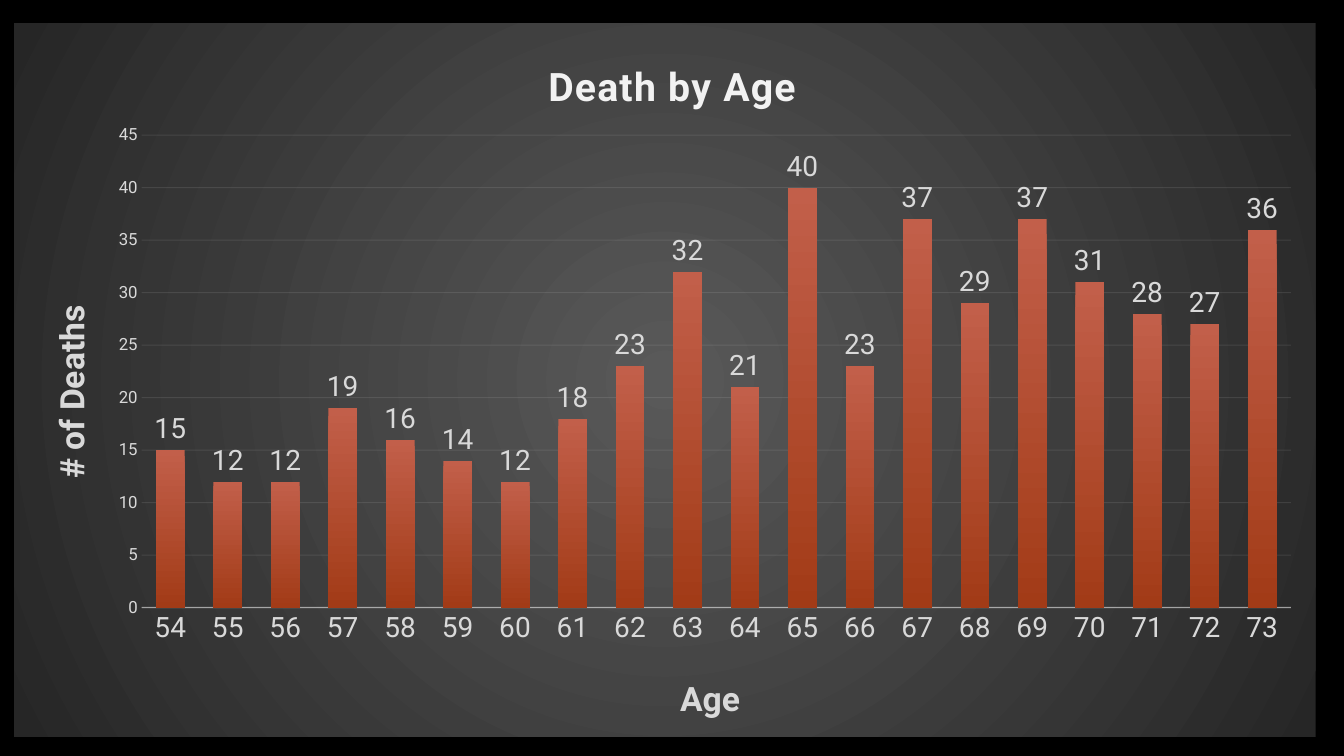
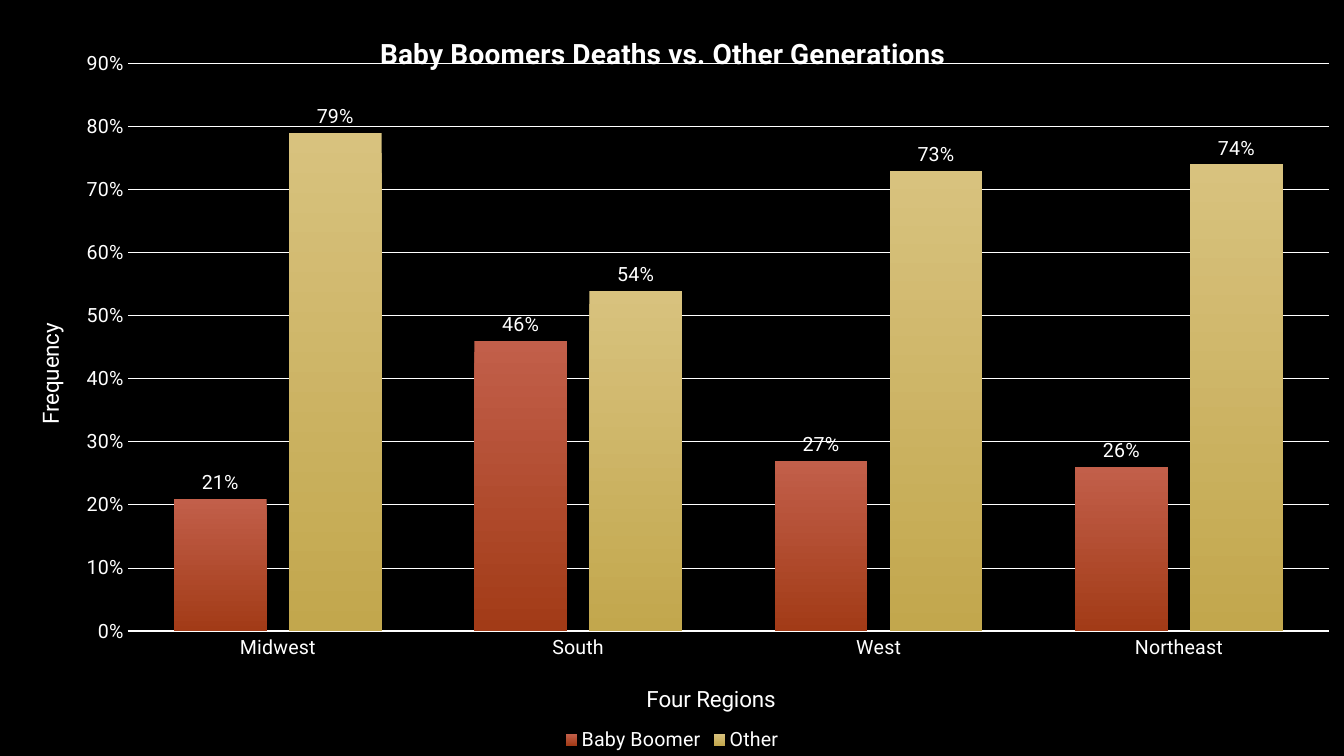
"""Build two dark column-chart slides on deaths by age and by region."""
import pptx
import pptx.chart.data
import pptx.dml.color
import pptx.enum.chart
import pptx.oxml
import pptx.oxml.ns
import pptx.util

Inches, Pt = pptx.util.Inches, pptx.util.Pt
RGBColor = pptx.dml.color.RGBColor
qn, nsdecls = pptx.oxml.ns.qn, pptx.oxml.ns.nsdecls
xl = pptx.enum.chart

BLACK = RGBColor(0x00, 0x00, 0x00)
WHITE = RGBColor(0xFF, 0xFF, 0xFF)
PALE = RGBColor(0xF2, 0xF2, 0xF2)
SILVER = RGBColor(0xD9, 0xD9, 0xD9)
GREY = RGBColor(0x59, 0x59, 0x59)
CHARCOAL = RGBColor(0x26, 0x26, 0x26)
RUST = (RGBColor(0xC2, 0x5F, 0x4A), RGBColor(0xA2, 0x3B, 0x17))
GOLD = (RGBColor(0xD8, 0xC2, 0x7E), RGBColor(0xC2, 0xA7, 0x4D))
FONT = "Roboto"


def set_all(obj, **values):
    """Set each named attribute on an object."""
    for name, value in values.items():
        setattr(obj, name, value)


def style_font(font, size, color, bold=False):
    """Apply the shared typeface with a size, colour and weight."""
    set_all(font, name=FONT, size=Pt(size), bold=bold)
    font.color.rgb = color


def style_line(line, color, width, opacity=100):
    """Draw a solid line, partly transparent below full opacity."""
    line.color.rgb = color
    line.width = Pt(width)
    if opacity < 100:
        clr = line._get_or_add_ln().find(".//" + qn("a:srgbClr"))
        clr.append(pptx.oxml.parse_xml(
            f'<a:alpha {nsdecls("a")} val="{opacity * 1000}"/>'))


def layout_xml(x, y, w=None, h=None):
    """Return a manual layout in fractions of the chart."""
    inner = '<c:layoutTarget val="inner"/>' if w else ""
    size = f'<c:w val="{w}"/><c:h val="{h}"/>' if w else ""
    return pptx.oxml.parse_xml(
        f'<c:layout {nsdecls("c")}><c:manualLayout>{inner}'
        f'<c:xMode val="edge"/><c:yMode val="edge"/>'
        f'<c:x val="{x}"/><c:y val="{y}"/>{size}</c:manualLayout></c:layout>')


def drop_layout(parent):
    """Remove the layout that an element already holds."""
    for old in parent.findall(qn("c:layout")):
        parent.remove(old)


def add_title(title, text, pos, size, color, bold=False, spacing=0, upright=False):
    """Write a chart or axis title and fix its place."""
    tf = title.text_frame
    r = tf.paragraphs[0].add_run()
    r.text = text
    style_font(r.font, size, color, bold)
    if spacing:
        r.font._element.set("spc", str(spacing))
    if upright:
        body = tf._txBody.find(qn("a:bodyPr"))
        body.set("rot", "-5400000")
        body.set("vert", "horz")
    el = title._element
    drop_layout(el)
    el.find(qn("c:tx")).addnext(layout_xml(*pos))


def radial_backdrop(chart, center, edge):
    """Fill the chart area with a circular gradient."""
    chart.element.find(qn("c:chart")).addnext(pptx.oxml.parse_xml(
        f'<c:spPr {nsdecls("c", "a")}><a:gradFill><a:gsLst>'
        f'<a:gs pos="0"><a:srgbClr val="{center}"/></a:gs>'
        f'<a:gs pos="100000"><a:srgbClr val="{edge}"/></a:gs></a:gsLst>'
        '<a:path path="circle"><a:fillToRect l="50000" t="50000" r="50000" b="50000"/>'
        '</a:path></a:gradFill><a:ln><a:noFill/></a:ln></c:spPr>'))


def style_series(series, colors, size, color, fmt):
    """Give columns a downward gradient and value labels."""
    fill = series.format.fill
    fill.gradient()
    fill.gradient_angle = 270
    for stop, rgb, pos in zip(fill.gradient_stops, colors, (0, 1)):
        stop.color.rgb = rgb
        stop.position = pos
    series.invert_if_negative = False
    labels = series.data_labels
    set_all(labels, show_value=True, position=xl.XL_LABEL_POSITION.OUTSIDE_END,
            number_format=fmt, number_format_is_linked=False)
    style_font(labels.font, size, color)


def style_axis(axis, size, color, fmt=None):
    """Set the tick marks and tick labels of an axis."""
    set_all(axis, major_tick_mark=xl.XL_TICK_MARK.NONE,
            minor_tick_mark=xl.XL_TICK_MARK.NONE)
    style_font(axis.tick_labels.font, size, color)
    if fmt:
        set_all(axis.tick_labels, number_format=fmt, number_format_is_linked=False)


def column_chart(slide, box, cats, series, plot, top, step, color, cat_size,
                 val_size, label_size, cat_line, grid, fmt="General"):
    """Add a styled clustered column chart in the given box."""
    data = pptx.chart.data.CategoryChartData(number_format=fmt)
    data.categories = cats
    for name, values, _ in series:
        data.add_series(name, values)
    chart = slide.shapes.add_chart(
        xl.XL_CHART_TYPE.COLUMN_CLUSTERED, *map(Inches, box), data).chart
    style_font(chart.font, 10, WHITE)
    chart.has_legend = False
    bars = chart.plots[0]
    set_all(bars, gap_width=100, overlap=-24, vary_by_categories=False)
    for ser, (_, _, colors) in zip(bars.series, series):
        style_series(ser, colors, label_size, color, fmt)
    cat, val = chart.category_axis, chart.value_axis
    style_axis(cat, cat_size, color)
    style_line(cat.format.line, *cat_line)
    style_axis(val, val_size, color, fmt)
    set_all(val, minimum_scale=0, maximum_scale=top, major_unit=step,
            has_major_gridlines=True)
    val.format.line.fill.background()
    style_line(val.major_gridlines.format.line, *grid)
    area = chart.element.find(".//" + qn("c:plotArea"))
    drop_layout(area)
    area.insert(0, layout_xml(*plot))
    return chart


def black_slide(prs):
    """Add a blank slide with a black background."""
    slide = prs.slides.add_slide(prs.slide_layouts[6])
    fill = slide.background.fill
    fill.solid()
    fill.fore_color.rgb = BLACK
    return slide


def age_slide(prs):
    """Show the number of deaths at each age."""
    deaths = (15, 12, 12, 19, 16, 14, 12, 18, 23, 32,
              21, 40, 23, 37, 29, 37, 31, 28, 27, 36)
    chart = column_chart(
        black_slide(prs), (0.14, 0.23, 12.91, 7.08),
        [str(age) for age in range(54, 74)], [("Series 1", deaths, RUST)],
        plot=(0.098, 0.157, 0.883, 0.662), top=45, step=5, color=SILVER,
        cat_size=20, val_size=12, label_size=20,
        cat_line=(PALE, 1, 54), grid=(PALE, 0.75, 10))
    radial_backdrop(chart, GREY, CHARCOAL)
    add_title(chart.chart_title, "Death by Age", (0.405, 0.043), 28, PALE, True, 100)
    add_title(chart.category_axis.axis_title, "Age", (0.507, 0.906), 24, SILVER, True)
    add_title(chart.value_axis.axis_title, "# of Deaths", (0.022, 0.387), 24,
              SILVER, True, upright=True)


def region_slide(prs):
    """Compare the share of deaths by region and generation."""
    chart = column_chart(
        black_slide(prs), (0, 0, 13.33, 7.5),
        ("Midwest", "South", "West", "Northeast"),
        [("Baby Boomer", (0.21, 0.46, 0.27, 0.26), RUST),
         ("Other", (0.79, 0.54, 0.73, 0.74), GOLD)],
        plot=(0.095, 0.084, 0.894, 0.751), top=0.9, step=0.1, color=WHITE,
        cat_size=14, val_size=14, label_size=14,
        cat_line=(WHITE, 1), grid=(WHITE, 0.75), fmt="0%")
    add_title(chart.chart_title, "Baby Boomers Deaths vs. Other Generations",
              (0.279, 0.04), 20, WHITE, True)
    add_title(chart.category_axis.axis_title, "Four Regions", (0.478, 0.9), 16, WHITE)
    add_title(chart.value_axis.axis_title, "Frequency", (0.024, 0.422), 16, WHITE,
              upright=True)
    chart.has_legend = True
    set_all(chart.legend, position=xl.XL_LEGEND_POSITION.BOTTOM, include_in_layout=False)
    style_font(chart.legend.font, 14, WHITE)


def main():
    """Build and save the presentation."""
    prs = pptx.Presentation()
    set_all(prs, slide_width=Inches(13.33), slide_height=Inches(7.5))
    age_slide(prs)
    region_slide(prs)
    prs.save("out.pptx")


if __name__ == "__main__":
    main()
